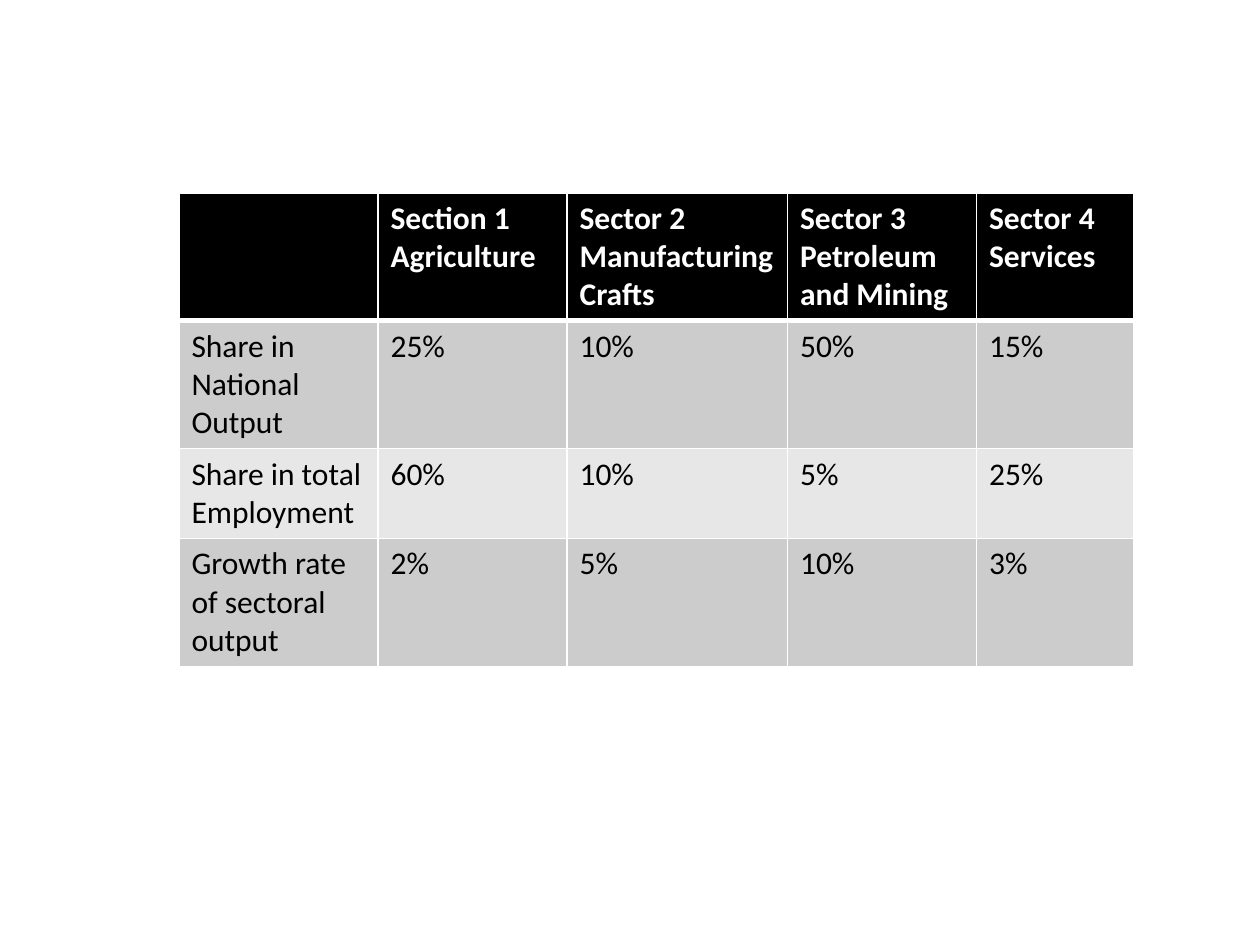
from dataclasses import dataclass

from lxml.etree import SubElement
from pptx import Presentation
from pptx.dml.color import RGBColor as Rgb
from pptx.oxml.ns import qn
from pptx.util import Inches, Pt


@dataclass(frozen=True)
class Theme:
    font: str = "Calibri"
    text_size: int = 18
    header_fill: str = "000000"
    header_text: str = "FFFFFF"
    body_text: str = "000000"
    bands: tuple = ("CCCCCC", "E7E7E7")
    rule: str = "FFFFFF"
    rule_width: int = 1
    header_rule_width: int = 3


THEME = Theme()
SLIDE_WIDTH, SLIDE_HEIGHT = Inches(10), Inches(7.5)

SECTORS = [
    ["", "Section 1 Agriculture", "Sector 2 Manufacturing Crafts",
     "Sector 3 Petroleum and Mining", "Sector 4 Services"],
    ["Share in National Output", "25%", "10%", "50%", "15%"],
    ["Share in total Employment", "60%", "10%", "5%", "25%"],
    ["Growth rate of sectoral output", "2%", "5%", "10%", "3%"],
]
COLUMN_WEIGHTS = (1.58, 1.5, 1.75, 1.5, 1.25)
ROW_WEIGHTS = (1, 1, 0.7, 1)


def share_out(total, weights):
    return [round(total * weight / sum(weights)) for weight in weights]


def rule_cell(cell, top, bottom):
    """Draw the four cell borders; top and bottom are widths in points."""
    properties = cell._tc.get_or_add_tcPr()
    side = THEME.rule_width
    for edge, width in (("L", side), ("R", side), ("T", top), ("B", bottom)):
        line = SubElement(properties, qn(f"a:ln{edge}"), w=str(Pt(width)))
        fill = SubElement(line, qn("a:solidFill"))
        SubElement(fill, qn("a:srgbClr"), val=THEME.rule)


def fill_cell(cell, wording, row):
    is_header = row == 0
    rule_cell(
        cell,
        top=THEME.header_rule_width if row == 1 else THEME.rule_width,
        bottom=THEME.header_rule_width if is_header else THEME.rule_width,
    )
    band = THEME.bands[(row - 1) % len(THEME.bands)]
    cell.fill.solid()
    cell.fill.fore_color.rgb = Rgb.from_string(
        THEME.header_fill if is_header else band)

    cell.text = wording
    font = cell.text_frame.paragraphs[0].font
    font.name, font.size, font.bold = THEME.font, Pt(THEME.text_size), is_header
    font.color.rgb = Rgb.from_string(
        THEME.header_text if is_header else THEME.body_text)


def add_sector_table(slide, left, top, width, height):
    table = slide.shapes.add_table(
        len(SECTORS), len(COLUMN_WEIGHTS), left, top, width, height).table
    for column, size in zip(table.columns, share_out(width, COLUMN_WEIGHTS)):
        column.width = size
    for row, size in zip(table.rows, share_out(height, ROW_WEIGHTS)):
        row.height = size
    for row, wordings in enumerate(SECTORS):
        for column, wording in enumerate(wordings):
            fill_cell(table.cell(row, column), wording, row)


def main():
    deck = Presentation()
    deck.slide_width, deck.slide_height = SLIDE_WIDTH, SLIDE_HEIGHT
    slide = deck.slides.add_slide(deck.slide_layouts[6])
    add_sector_table(slide, Inches(1.42), Inches(1.53), Inches(7.58), Inches(3.7))
    deck.save("out.pptx")


if __name__ == "__main__":
    main()
